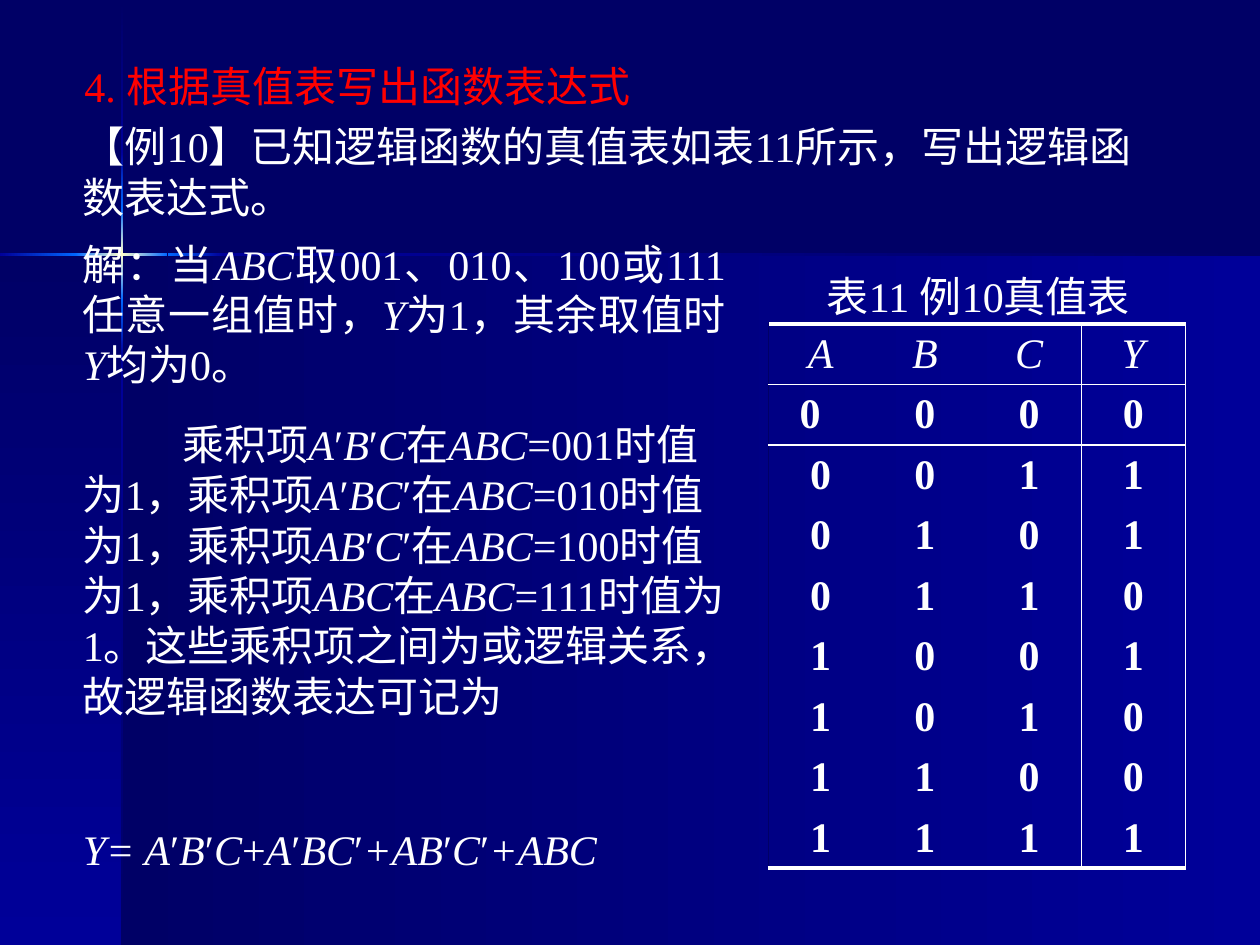
from copy import deepcopy

from lxml import etree
from pptx import Presentation
from pptx import util as u
from pptx.dml.color import RGBColor
from pptx.enum import shapes, text
from pptx.oxml import ns

THEME = {
    "night": "000066", "navy": "000099", "azure": "0066FF", "glow": "FFFFCC",
    "ink": "FFFFFF", "heading": "FF0000",
    "font": "Times New Roman", "size": 24, "thin": 1, "thick": 2.25,
}
COLUMNS, ROWS = 100, 75

deck = Presentation()
deck.slide_width, deck.slide_height = u.Inches(10), u.Inches(7.5)
page = deck.slides.add_slide(deck.slide_layouts[5])
page.background.fill.solid()
page.background.fill.fore_color.rgb = RGBColor.from_string(THEME["night"])


def area(column, row, width, height):
    across, down = deck.slide_width / COLUMNS, deck.slide_height / ROWS
    return [round(n) for n in (column * across, row * down, width * across, height * down)]


def write(frame, words, align="LEFT", color="ink", bold=False):
    para = frame.paragraphs[0]
    para.alignment = getattr(text.PP_ALIGN, align)
    for index, part in enumerate(words.split("*")):
        if part:
            span = para.add_run()
            span.text = part
            look = {"name": THEME["font"], "size": u.Pt(THEME["size"]),
                    "bold": bold, "italic": index % 2 == 1}
            for key, value in look.items():
                setattr(span.font, key, value)
            span.font.color.rgb = RGBColor.from_string(THEME[color])
    return para


cross_x, cross_y, beam = 9.6, 20.1, 0.2
edge_x, edge_y = cross_x + beam / 2, cross_y + beam / 2
ACROSS, DOWN = 0, 270
bands = [
    (edge_x, edge_y, COLUMNS - edge_x, ROWS - edge_y, ACROSS, "night navy"),
    (0, edge_y, edge_x, ROWS - edge_y, DOWN, "night navy"),
]
for start, end, colors in [(16.5, 23.8, "azure glow azure"), (0.1, 12.1, "night navy"),
                           (28.2, ROWS, "navy night"), (23.8, 28.2, "azure navy"),
                           (12.1, 16.5, "navy azure")]:
    bands.append((cross_x, start, beam, end - start, DOWN, colors))
for start, end, colors in [(13.3, 17.7, "azure navy"), (0, 6.1, "navy azure"),
                           (17.7, COLUMNS, "navy night"), (6, 13.3, "azure glow azure")]:
    bands.append((start, cross_y, end - start, beam, ACROSS, colors))

for *bounds, angle, colors in bands:
    band = page.shapes.add_shape(shapes.MSO_SHAPE.RECTANGLE, *area(*bounds))
    band.shadow.inherit = False
    band.line.fill.background()
    band.fill.gradient()
    band.fill.gradient_angle = angle
    names = colors.split()
    stop_list = band.element.spPr.find(".//" + ns.qn("a:gsLst"))
    for _ in names[2:]:
        stop_list.append(deepcopy(stop_list[-1]))
    for index, (stop, name) in enumerate(zip(band.fill.gradient_stops, names)):
        stop.position = index / (len(names) - 1)
        stop.color.rgb = RGBColor.from_string(THEME[name])

title = page.shapes.title
page.shapes.element.append(title.element)
passages = [
    (title, (5.7, 4.3, 88.5, 5), "4. 根据真值表写出函数表达式", "JUSTIFY", "heading", 0),
    (None, (5.6, 9.1, 88.5, 9.1),
     "【例10】已知逻辑函数的真值表如表11所示，写出逻辑函数表达式。", "LEFT", "ink", 0),
    (None, (5.6, 18.4, 53, 13.1),
     "解：当*ABC*取001、010、100或111任意一组值时，*Y*为1，其余取值时*Y*均为0。",
     "JUSTIFY", "ink", 0),
    (None, (61.5, 21, 32.3, 5.1), "表11 例10真值表", "CENTER", "ink", 0),
    (None, (5.6, 32.7, 53, 25.2),
     "乘积项*A*′*B*′*C*在*ABC*=001时值为1，乘积项*A*′*BC*′在*ABC*=010时值为1，"
     "乘积项*AB*′*C*′在*ABC*=100时值为1，乘积项*ABC*在*ABC*=111时值为1。"
     "这些乘积项之间为或逻辑关系，故逻辑函数表达可记为", "LEFT", "ink", 7.9),
    (None, (5.6, 64.9, 55.4, 5),
     "*Y= A*′*B*′*C*+*A*′*BC*′*+AB*′*C*′*+ABC*", "LEFT", "ink", 0),
]
for holder, bounds, words, align, color, indent in passages:
    box = holder or page.shapes.add_textbox(*area(*bounds))
    for key, value in zip(("left", "top", "width", "height"), area(*bounds)):
        setattr(box, key, value)
    layout = {"word_wrap": True, "auto_size": text.MSO_AUTO_SIZE.SHAPE_TO_FIT_TEXT,
              "vertical_anchor": text.MSO_ANCHOR.TOP}
    for key, value in layout.items():
        setattr(box.text_frame, key, value)
    para = write(box.text_frame, words, align, color)
    if indent:
        properties = para._p.get_or_add_pPr()
        properties.set("marL", "0")
        properties.set("indent", str(area(indent, 0, 0, 0)[0]))

truth = ["*A* *B* *C* *Y*", "0 0 0 0", "0 0 1 1", "0 1 0 1", "0 1 1 0",
         "1 0 0 1", "1 0 1 0", "1 1 0 0", "1 1 1 1"]
last = len(truth) - 1
graphic = page.shapes.add_table(len(truth), 4, *area(61, 25.7, 33.1, 43.1))
table = graphic.table
table.first_row = table.horz_banding = False
style = graphic.element.find(".//" + ns.qn("a:tableStyleId"))
style.text = "{2D5ABB26-0587-4C30-8999-92F81FD0307C}"

for r, line in enumerate(truth):
    for c, value in enumerate(line.split()):
        cell = table.cell(r, c)
        cell.vertical_anchor = text.MSO_ANCHOR.MIDDLE
        cell.margin_top = cell.margin_bottom = u.Inches(0.04)
        if (r, c) == (1, 0):
            cell.margin_right = u.Inches(0.27)
        write(cell.text_frame, value, "CENTER", bold=r > 0)
        borders = {}
        if c in (0, 3):
            borders["L"] = ("night" if c == 0 else "ink", "thin")
        if c >= 2:
            borders["R"] = ("ink", "thin")
        if r <= 1:
            borders["T"] = ("ink", "thick" if r == 0 else "thin")
        if r in (0, last):
            borders["B"] = ("ink", "thin" if r == 0 else "thick")
        properties = cell._tc.get_or_add_tcPr()
        for side, (color, weight) in borders.items():
            rule = etree.SubElement(properties, ns.qn("a:ln" + side),
                                    w=str(u.Pt(THEME[weight])))
            fill = etree.SubElement(rule, ns.qn("a:solidFill"))
            etree.SubElement(fill, ns.qn("a:srgbClr"), val=THEME[color])
        cell.fill.background()

deck.save("out.pptx")
